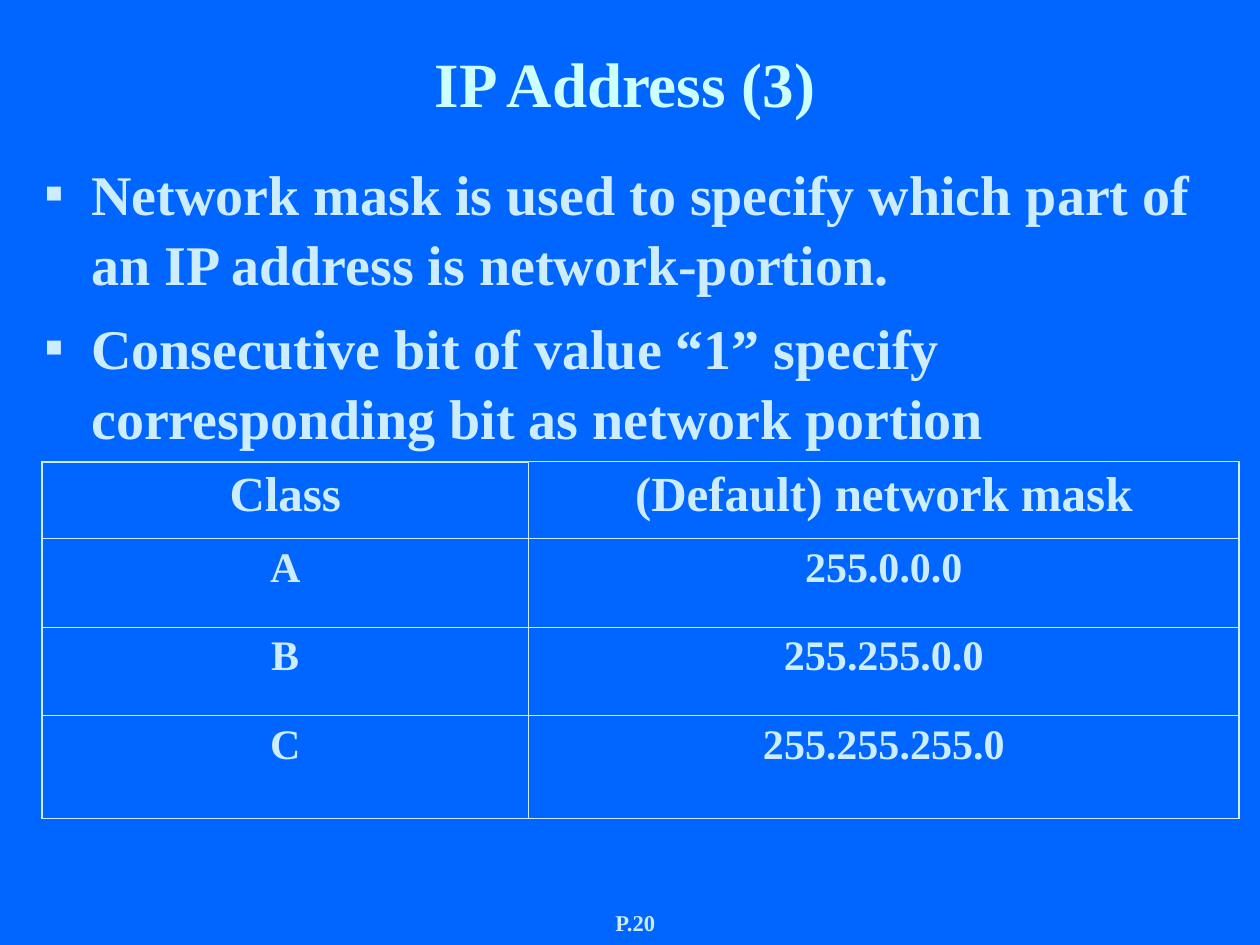
from lxml.etree import SubElement
from pptx import Presentation
from pptx.dml.color import RGBColor
from pptx.enum.text import PP_ALIGN as Align
from pptx.oxml.ns import qn
from pptx.util import Cm, Pt

BLUE = RGBColor(0x00, 0x66, 0xFF)
PALE_BLUE = RGBColor(0xCC, 0xEC, 0xFF)
PALE_CYAN = RGBColor(0xCC, 0xFF, 0xFF)
FONT = "Times New Roman"
THIN, THICK = Pt(0.45), Pt(1.08)


def style(paragraph, size, color=PALE_BLUE, align=Align.CENTER, before=0):
    paragraph.alignment = align
    paragraph.space_before = Pt(before)
    font = paragraph.font
    font.name, font.size, font.bold = FONT, Pt(size), True
    font.color.rgb = color


def add_text(slide, box, lines, margin_top=Cm(0.13), **look):
    frame = slide.shapes.add_textbox(*box).text_frame
    frame.word_wrap = True
    frame.margin_top = margin_top
    frame.text = "\n".join(lines)
    for paragraph in frame.paragraphs:
        style(paragraph, **look)
    return frame


def add_bullets(slide, box, lines):
    frame = add_text(slide, box, lines, Cm(0.2), size=32, align=Align.LEFT, before=8)
    for paragraph in frame.paragraphs:
        paragraph.line_spacing = 1.04
        properties = paragraph._p.get_or_add_pPr()
        properties.set("marL", str(Cm(0.95)))
        properties.set("indent", str(-Cm(0.95)))
        color = SubElement(properties, qn("a:buClr"))
        SubElement(color, qn("a:srgbClr"), val=str(PALE_BLUE))
        SubElement(properties, qn("a:buFont"), typeface=FONT)
        SubElement(properties, qn("a:buChar"), char="▪")


def set_borders(cell, widths):
    properties = cell._tc.get_or_add_tcPr()
    for position, (side, width) in enumerate(widths.items()):
        line = properties.makeelement(qn(f"a:{side}"), {"w": str(width)})
        fill = SubElement(line, qn("a:solidFill"))
        SubElement(fill, qn("a:srgbClr"), val=str(PALE_BLUE))
        properties.insert(position, line)


def add_mask_table(slide, box, rows, column_widths, row_heights):
    table = slide.shapes.add_table(len(rows), len(column_widths), *box).table
    for column, width in zip(table.columns, column_widths):
        column.width = width
    for row, height in zip(table.rows, row_heights):
        row.height = height
    last_row, last_column = len(rows) - 1, len(column_widths) - 1
    for r, row in enumerate(rows):
        for c, text in enumerate(row):
            cell = table.cell(r, c)
            cell.text = text
            cell.fill.background()
            header = r == 0
            style(cell.text_frame.paragraphs[0], 28 if header else 24,
                  before=7 if header else 6)
            # Thick outer frame, thin inner lines and thin top right edge
            set_borders(cell, {
                "lnL": THICK if c == 0 else THIN,
                "lnR": THICK if c == last_column else THIN,
                "lnT": THICK if header and c == 0 else THIN,
                "lnB": THICK if r == last_row else THIN,
            })


presentation = Presentation()
presentation.slide_width, presentation.slide_height = Cm(25.4), Cm(19.05)
slide = presentation.slides.add_slide(presentation.slide_layouts[6])
slide.background.fill.solid()
slide.background.fill.fore_color.rgb = BLUE

# Page number
add_text(slide, (Cm(10.16), Cm(18.2), Cm(5.29), Cm(0.85)), ["P.20"],
         size=12.9, before=8.8)

# Title
add_text(slide, (Cm(0.64), Cm(0.64), Cm(23.92), Cm(1.7)), ["IP Address (3)"],
         Cm(0.25), size=36, color=PALE_CYAN)

# Body
add_bullets(slide, (Cm(0.64), Cm(2.96), Cm(24.76), Cm(13.97)), [
    "Network mask is used to specify which part of an IP address is network-portion.",
    "Consecutive bit of value “1” specify corresponding bit as network portion",
])

# Default masks
add_mask_table(
    slide, (Cm(0.85), Cm(9.31), Cm(24.13), Cm(7.2)),
    [("Class", "(Default) network mask"), ("A", "255.0.0.0"),
     ("B", "255.255.0.0"), ("C", "255.255.255.0")],
    [Cm(9.8), Cm(14.33)],
    [Cm(1.55), Cm(1.78), Cm(1.78), Cm(2.08)])

presentation.save("out.pptx")
